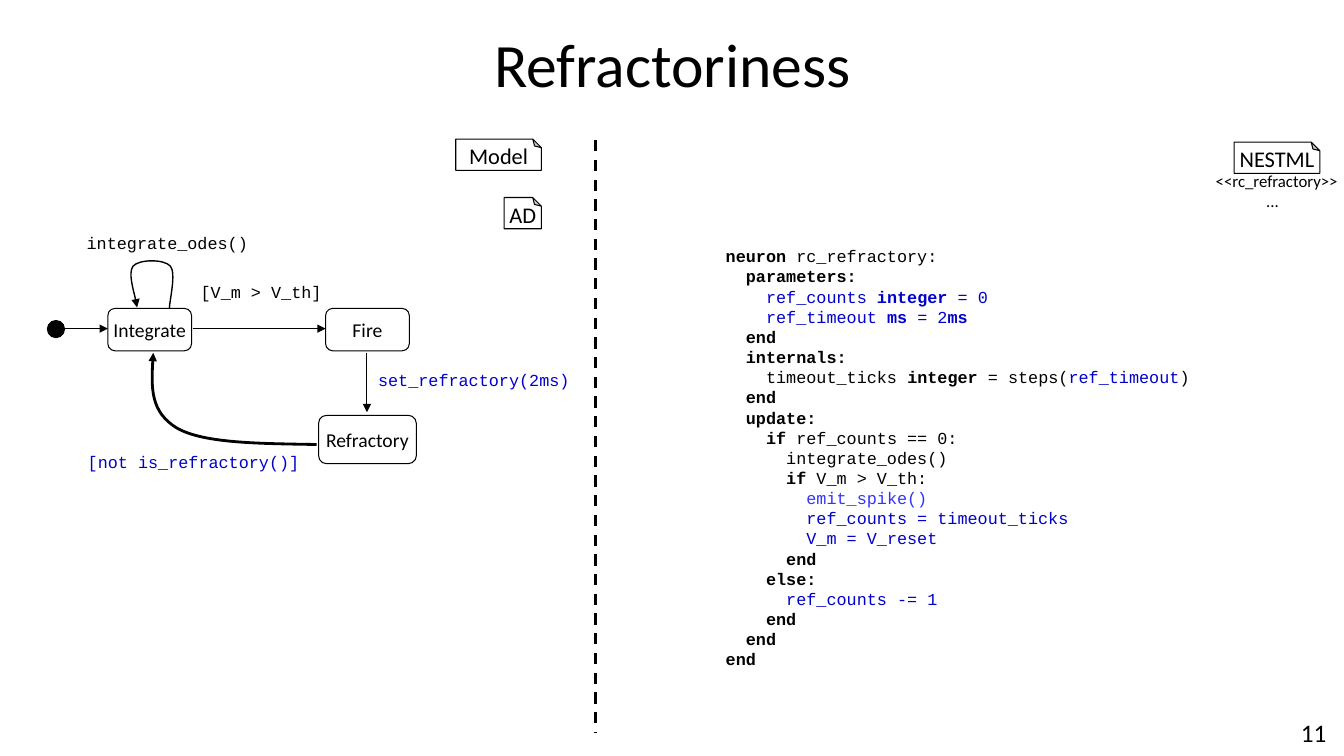
"""Build the slide on refractoriness: an activity diagram beside its code."""
from pptx import Presentation
from pptx.dml.color import RGBColor
from pptx.enum.dml import MSO_LINE
from pptx.enum.shapes import MSO_CONNECTOR, MSO_SHAPE
from pptx.enum.text import MSO_ANCHOR, PP_ALIGN
from pptx.oxml.ns import qn
from pptx.oxml.xmlchemy import OxmlElement
from pptx.util import Inches, Pt

DASH = MSO_LINE.DASH
LINE = MSO_CONNECTOR.STRAIGHT
ROUND, OVAL, NOTE = MSO_SHAPE.ROUNDED_RECTANGLE, MSO_SHAPE.OVAL, MSO_SHAPE.FOLDED_CORNER
TOP, MIDDLE = MSO_ANCHOR.TOP, MSO_ANCHOR.MIDDLE
LEFT, CENTER = PP_ALIGN.LEFT, PP_ALIGN.CENTER
SANS, MONO = "Calibri", "Courier New"
BLACK, WHITE, BLUE, LIGHT = "000000", "FFFFFF", "0000CC", "3333FF"

STATES = [
    ("Integrate", 1.07, 3.06, 0.83, 0.42),
    ("Fire", 3.23, 3.06, 0.83, 0.42),
    ("Refractory", 3.16, 4.12, 0.97, 0.48),
]
NOTES = [("Model", 4.52, 1.38, 0.85), ("AD", 5, 1.96, 0.37), ("NESTML", 12.24, 1.41, 0.85)]
LABELS = [
    ("integrate_odes()", 0.76, 2.26, 1.8, BLACK),
    ("[V_m > V_th]", 1.89, 2.75, 1.4, BLACK),
    ("set_refractory(2ms)", 3.65, 3.62, 2.1, BLUE),
    ("[not is_refractory()]", 0.77, 4.43, 2.3, BLUE),
]
ARROWS = [(0.64, 3.26, 1.07, 3.26), (1.91, 3.26, 3.23, 3.26), (3.64, 3.5, 3.64, 4.09)]
LOOP = [(1.68, 3.06), (1.68, 2.99), (1.75, 2.71), (1.69, 2.64), (1.63, 2.57),
        (1.38, 2.57), (1.32, 2.64), (1.27, 2.71), (1.35, 2.97), (1.36, 3.05)]
BACK = [(3.14, 4.41), (2.58, 4.4), (2.03, 4.4), (1.76, 4.25),
        (1.49, 4.09), (1.5, 3.8), (1.52, 3.5)]
CODE = [
    (0, ("neuron", True, BLACK), (" rc_refractory:", False, BLACK)),
    (1, ("parameters:", True, BLACK)),
    (2, ("ref_counts ", False, BLUE), ("integer", True, BLUE), (" = 0", False, BLUE)),
    (2, ("ref_timeout ", False, BLUE), ("ms", True, BLUE), (" = 2", False, BLUE),
     ("ms", True, BLUE)),
    (1, ("end", True, BLACK)),
    (1, ("internals:", True, BLACK)),
    (2, ("timeout_ticks ", False, BLACK), ("integer", True, BLACK),
     (" = steps(", False, BLACK), ("ref_timeout", False, BLUE), (")", False, BLACK)),
    (1, ("end", True, BLACK)),
    (1, ("update:", True, BLACK)),
    (2, ("if ", True, BLACK), ("ref_counts == 0:", False, BLACK)),
    (3, ("integrate_odes()", False, BLACK)),
    (3, ("if", True, BLACK), (" V_m > V_th:", False, BLACK)),
    (4, ("emit_spike()", False, LIGHT)),
    (4, ("ref_counts = timeout_ticks", False, BLUE)),
    (4, ("V_m = V_reset", False, BLUE)),
    (3, ("end", True, BLACK)),
    (2, ("else:", True, BLACK)),
    (3, ("ref_counts -= 1", False, BLUE)),
    (2, ("end", True, BLACK)),
    (1, ("end", True, BLACK)),
    (0, ("end", True, BLACK)),
]


def paint(color, value):
    """Set a colour format from a hex string."""
    color.rgb = RGBColor.from_string(value)


def style(run, size, face, color, bold=False):
    """Set the font of a run."""
    font = run.font
    font.size, font.name, font.bold = Pt(size), face, bold
    paint(font.color, color)


def write(shape, text, size, face=SANS, color=BLACK, align=CENTER, anchor=MIDDLE, wrap=False):
    """Put uniform text into a shape."""
    frame = shape.text_frame
    frame.text = text
    frame.word_wrap, frame.vertical_anchor = wrap, anchor
    for para in frame.paragraphs:
        para.alignment = align
        for run in para.runs:
            style(run, size, face, color)


def add_text(slide, box, text, size, **look):
    """Add a text box with uniform text."""
    shape = slide.shapes.add_textbox(*map(Inches, box))
    write(shape, text, size, **look)
    return shape


def add_box(slide, kind, box, fill=WHITE):
    """Add a filled shape with a thin black outline."""
    shape = slide.shapes.add_shape(kind, *map(Inches, box))
    shape.shadow.inherit = False
    shape.fill.solid()
    paint(shape.fill.fore_color, fill)
    paint(shape.line.color, BLACK)
    shape.line.width = Pt(0.75)
    return shape


def add_note(slide, text, left, top, width):
    """Add a note whose folded corner is at the top right."""
    note = add_box(slide, NOTE, (left, top, width, 0.31))
    write(note, text, 16)
    note.text_frame.paragraphs[0].line_spacing = 0.7
    props = note._element.spPr
    fold = OxmlElement("a:gd")
    fold.set("name", "adj")
    fold.set("fmla", "val 27600")
    props.find(qn("a:prstGeom")).get_or_add_avLst().append(fold)
    props.find(qn("a:xfrm")).set("flipV", "1")
    note.text_frame._txBody.bodyPr.set("rot", "10800000")


def add_head(shape):
    """Put a triangle at the end of a line."""
    head = OxmlElement("a:tailEnd")
    head.set("type", "triangle")
    shape.line._get_or_add_ln().append(head)


def add_line(slide, ends, width):
    """Add a straight black connector without a shadow."""
    line = slide.shapes.add_connector(LINE, *map(Inches, ends))
    paint(line.line.color, BLACK)
    line.line.width = Pt(width)
    line._element.spPr.append(OxmlElement("a:effectLst"))
    return line


def add_curve(slide, points, width):
    """Add an arrow along cubic curves, three points to each curve."""
    spots = [(Inches(x), Inches(y)) for x, y in points]
    pen = slide.shapes.build_freeform(*spots[0])
    pen.add_line_segments(spots[1:], close=False)
    curve = pen.convert_to_shape()
    steps = list(curve._element.iter(qn("a:lnTo")))
    for i in range(0, len(steps), 3):
        cubic = OxmlElement("a:cubicBezTo")
        steps[i].addprevious(cubic)
        for step in steps[i:i + 3]:
            cubic.append(step[0])
            step.getparent().remove(step)
    curve.shadow.inherit = False
    curve.fill.background()
    paint(curve.line.color, BLACK)
    curve.line.width = Pt(width)
    add_head(curve)


def indent(para, width):
    """Set the left margin of a paragraph."""
    para._p.get_or_add_pPr().set("marL", str(Inches(width)))


def add_code(slide):
    """Add the listing with indented lines and coloured runs."""
    frame = slide.shapes.add_textbox(*map(Inches, (7.1, 2.07, 4.8, 4.89))).text_frame
    frame.word_wrap = True
    frame.margin_top, frame.margin_right = Inches(0.37), 0
    for i, (level, *runs) in enumerate(CODE):
        para = frame.add_paragraph() if i else frame.paragraphs[0]
        para.line_spacing = Pt(14.4)
        indent(para, 0.2 * level)
        for text, bold, color in runs:
            run = para.add_run()
            run.text = text
            style(run, 12, MONO, color, bold)


def main():
    """Build and save the slide."""
    deck = Presentation()
    deck.slide_width, deck.slide_height = Inches(13.33), Inches(7.5)
    slide = deck.slides.add_slide(deck.slide_layouts[6])
    add_text(slide, (0.92, 0.2, 11.5, 0.84), "Refractoriness", 44, wrap=True)
    for text, *box in STATES:
        write(add_box(slide, ROUND, box), text, 14)
    add_box(slide, OVAL, (0.47, 3.18, 0.17, 0.17), BLACK)
    for ends in ARROWS:
        add_head(add_line(slide, ends, 0.75))
    add_curve(slide, LOOP, 1)
    add_curve(slide, BACK, 2)
    for text, left, top, width, color in LABELS:
        add_text(slide, (left, top, width, 0.3), text, 12, face=MONO, color=color, anchor=TOP)
    add_line(slide, (5.91, 1.39, 5.91, 7.27), 2).line.dash_style = DASH
    add_code(slide)
    for note in NOTES:
        add_note(slide, *note)
    tag = add_text(slide, (11.96, 1.64, 1.37, 0.5), "<<rc_refractory>>\n...", 12,
                   align=LEFT, anchor=TOP, wrap=True)
    tag.text_frame.margin_right = 0
    indent(tag.text_frame.paragraphs[1], 0.5)
    add_text(slide, (12.75, 7.04, 0.56, 0.46), "11", 18)
    deck.save("out.pptx")


if __name__ == "__main__":
    main()
